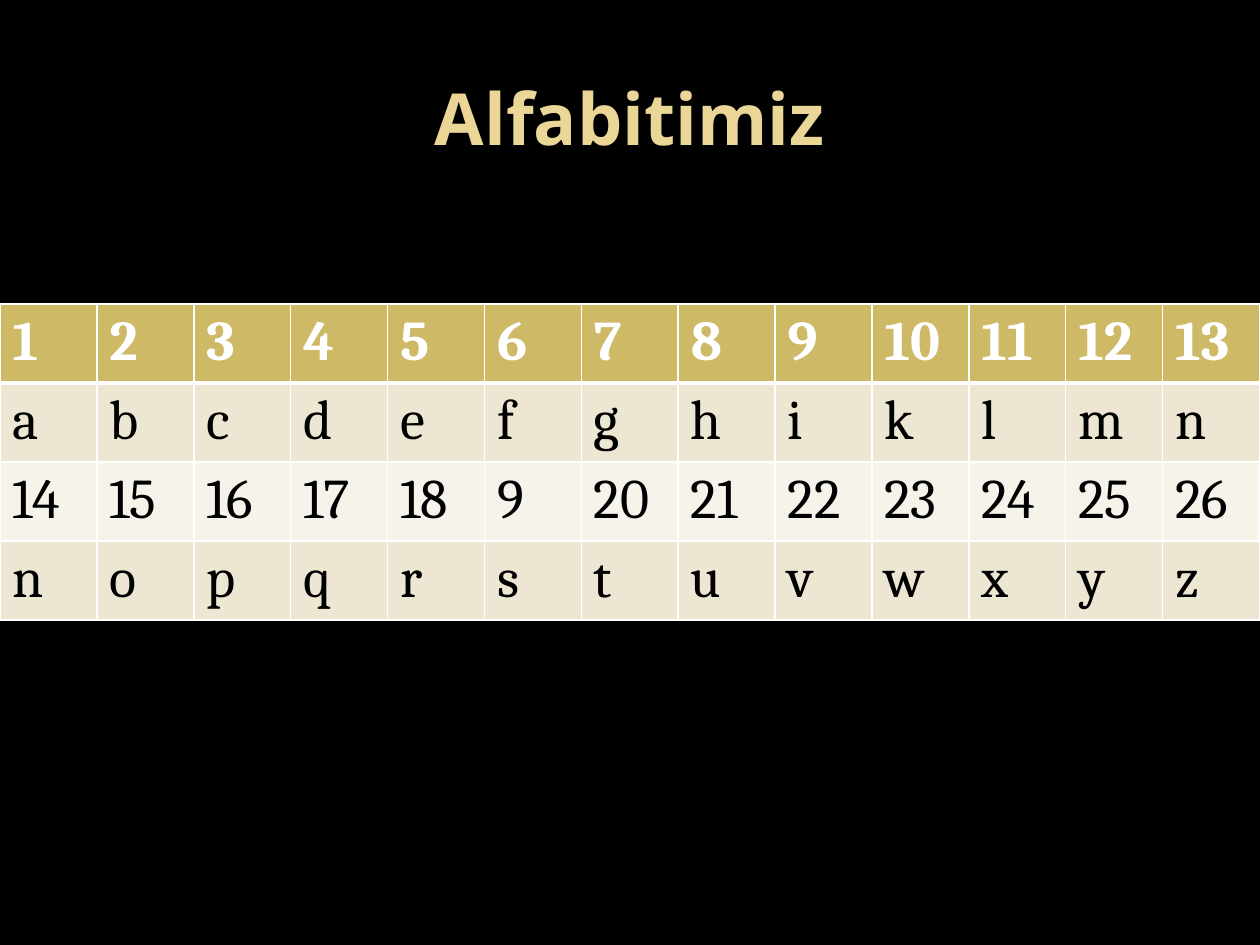
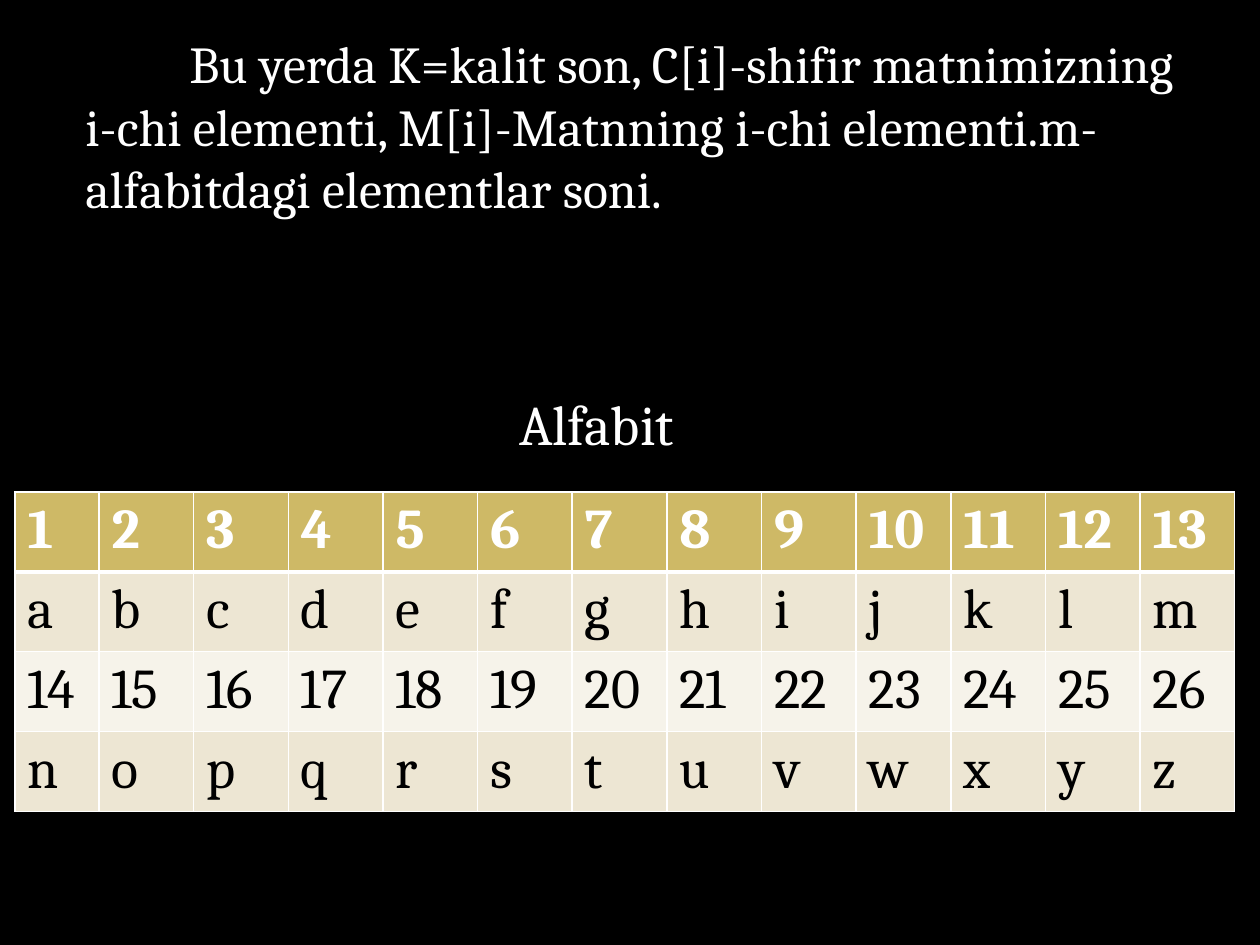
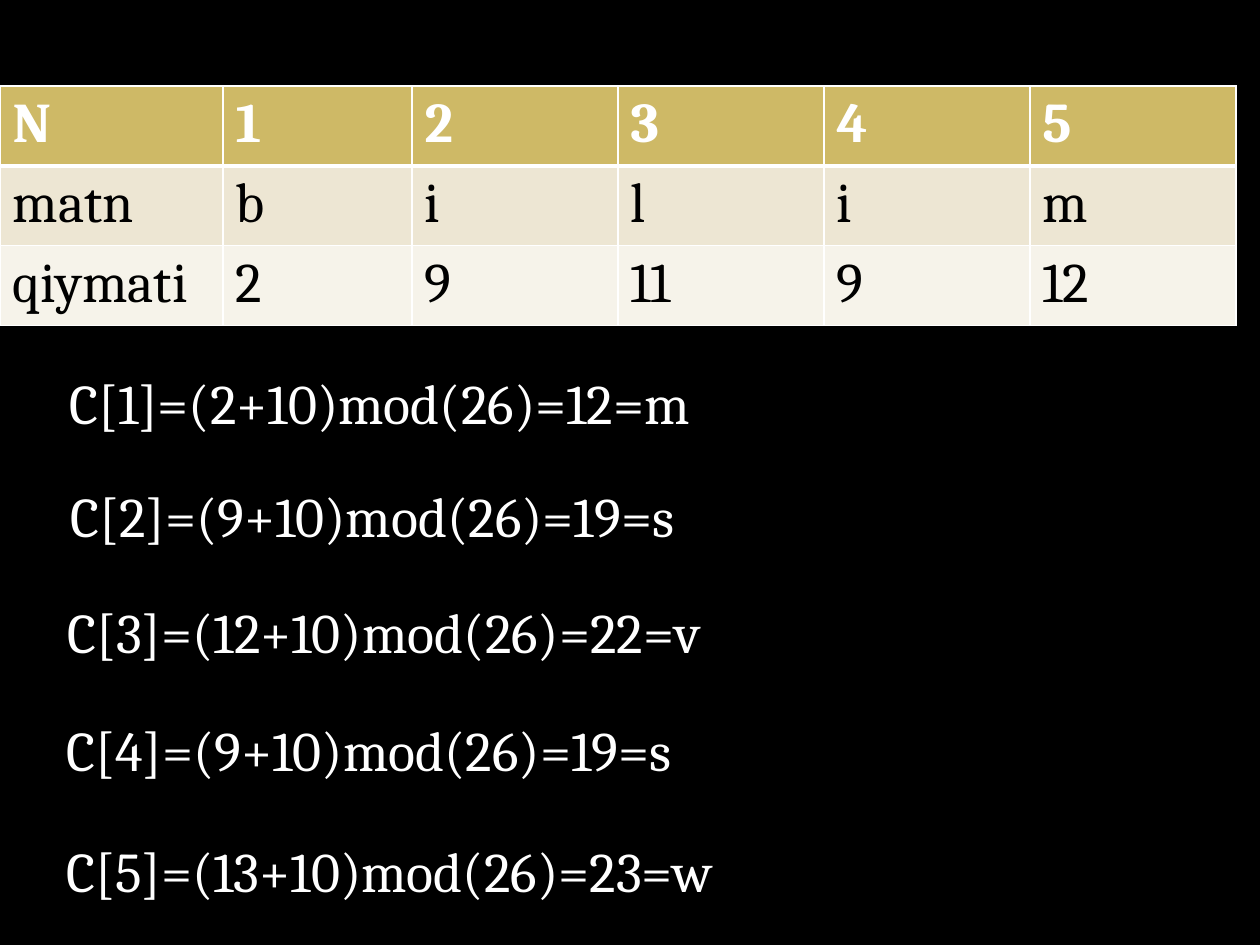
from dataclasses import dataclass

from lxml import etree
from pptx import Presentation
from pptx.dml.color import RGBColor
from pptx.enum.text import MSO_ANCHOR, MSO_AUTO_SIZE, PP_ALIGN
from pptx.oxml.ns import qn
from pptx.util import Pt

LEFT, CENTER = PP_ALIGN.LEFT, PP_ALIGN.CENTER
TOP, MIDDLE = MSO_ANCHOR.TOP, MSO_ANCHOR.MIDDLE
FIXED = MSO_AUTO_SIZE.NONE
TITLE_ONLY, BLANK = 5, 6
SCALE = 914400 / 126
WIDE, HIGH = 1260, 945
ROW = 79


@dataclass(frozen=True)
class Theme:
    """Colours, fonts and type sizes of the deck."""
    back: str = "000000"
    light: str = "FFFFFF"
    dark: str = "000000"
    title: str = "EAD696"
    head: str = "CEB966"
    bands: tuple = ("EDE6D3", "F6F3EA")
    serif: str = "Cambria"
    sans: str = "Noto Sans"
    big: float = 41
    base: float = 32
    note: float = 29.6
    thin: float = 1
    thick: float = 3


THEME = Theme()
FIRST = range(1, 14)
SECOND = range(14, 27)
SHORT = [FIRST, "abcdefghiklmn",
         [14, 15, 16, 17, 18, 9, *range(20, 27)], "nopqrstuvwxyz"]
FULL = [FIRST, "abcdefghijklm", SECOND, "nopqrstuvwxyz"]
WORD = [["N", 1, 2, 3, 4, 5],
        ["matn", *"bilim"],
        ["qiymati", 2, 9, 11, 9, 12]]
NOTE = ("Bu yerda K=kalit son, C[i]-shifir matnimizning i-chi elementi, "
        "M[i]-Matnning i-chi elementi.m- alfabitdagi elementlar soni.")
SUMS = [("C[1]=(2+10)mod(26)=12=m", 57, 362, 1051),
        ("C[2]=(9+10)mod(26)=19=s", 58, 475, 690),
        ("C[3]=(12+10)mod(26)=22=v", 55, 591, 714),
        ("C[4]=(9+10)mod(26)=19=s", 54, 709, 690),
        ("C[5]=(13+10)mod(26)=23=w", 54, 830, 735)]


def px(size):
    """Turn pixels into EMU."""
    return round(size * SCALE)


def paint(fill, color):
    """Give a fill one solid colour."""
    fill.solid()
    fill.fore_color.rgb = RGBColor.from_string(color)


def write(frame, text, size=THEME.base, font=THEME.serif, color=THEME.light,
          bold=False, align=LEFT, anchor=TOP, margin=0, indent=0):
    """Put one formatted paragraph into a text frame."""
    frame.word_wrap = True
    frame.vertical_anchor = anchor
    para = frame.paragraphs[0]
    para.alignment = align
    if margin or indent:
        props = para._p.get_or_add_pPr()
        props.set("marL", str(px(margin)))
        props.set("indent", str(px(indent)))
    run = para.add_run()
    run.text = text
    run.font.size = Pt(size)
    run.font.name = font
    run.font.bold = bold
    run.font.color.rgb = RGBColor.from_string(color)


def label(slide, box, text, **form):
    """Add a text box."""
    shape = slide.shapes.add_textbox(*map(px, box))
    write(shape.text_frame, text, **form)


def head(slide, box, text):
    """Place and format the slide title."""
    shape = slide.shapes.title
    shape.left, shape.top, shape.width, shape.height = map(px, box)
    shape.text_frame.auto_size = FIXED
    write(shape.text_frame, text, size=THEME.big, font=THEME.sans,
          color=THEME.title, bold=True, align=CENTER, anchor=MIDDLE)


def edge(cell, row):
    """Rule a cell, with a thick line under the head row."""
    props = cell._tc.get_or_add_tcPr()
    heavy = {0: "B", 1: "T"}.get(row)
    for side in "LRTB":
        width = THEME.thick if side == heavy else THEME.thin
        line = etree.SubElement(props, qn(f"a:ln{side}"), w=str(Pt(width)))
        fill = etree.SubElement(line, qn("a:solidFill"))
        etree.SubElement(fill, qn("a:srgbClr"), val=THEME.light)


def grid(slide, box, rows, lead=()):
    """Draw a banded table whose columns after the lead are equal."""
    left, top, width = box
    count = len(rows[0])
    rest = (width - sum(lead)) / (count - len(lead))
    sizes = [*lead, *[rest] * (count - len(lead))]
    area = map(px, (left, top, width, ROW * len(rows)))
    table = slide.shapes.add_table(len(rows), count, *area).table
    for column, size in zip(table.columns, sizes):
        column.width = px(size)
    for i, row in enumerate(rows):
        table.rows[i].height = px(ROW)
        for j, value in enumerate(row):
            cell = table.cell(i, j)
            edge(cell, i)
            paint(cell.fill, THEME.bands[(i - 1) % 2] if i else THEME.head)
            write(cell.text_frame, str(value), bold=not i,
                  color=THEME.dark if i else THEME.light)


def letters(slide):
    """Build the alphabet slide."""
    head(slide, (63, 38, 1134, 158), "Alfabitimiz")
    grid(slide, (0, 304, WIDE), SHORT)


def terms(slide):
    """Build the slide that explains the terms."""
    label(slide, (54, 26, 1134, 297), NOTE, size=THEME.note,
          margin=19, indent=104)
    label(slide, (115, 383, 963, 81), "Alfabit", align=CENTER)
    grid(slide, (15, 492, 1220), FULL, lead=(84,))


def cipher(slide):
    """Build the worked example slide."""
    grid(slide, (0, 86, 1236), WORD, lead=(223, 189))
    for text, left, top, width in SUMS:
        label(slide, (left, top, width, 81), text)


def main():
    """Build and save the deck."""
    deck = Presentation()
    deck.slide_width, deck.slide_height = px(WIDE), px(HIGH)
    paint(deck.slide_master.background.fill, THEME.back)
    pages = (letters, TITLE_ONLY), (terms, BLANK), (cipher, BLANK)
    for build, kind in pages:
        build(deck.slides.add_slide(deck.slide_layouts[kind]))
    deck.save("out.pptx")


if __name__ == "__main__":
    main()
